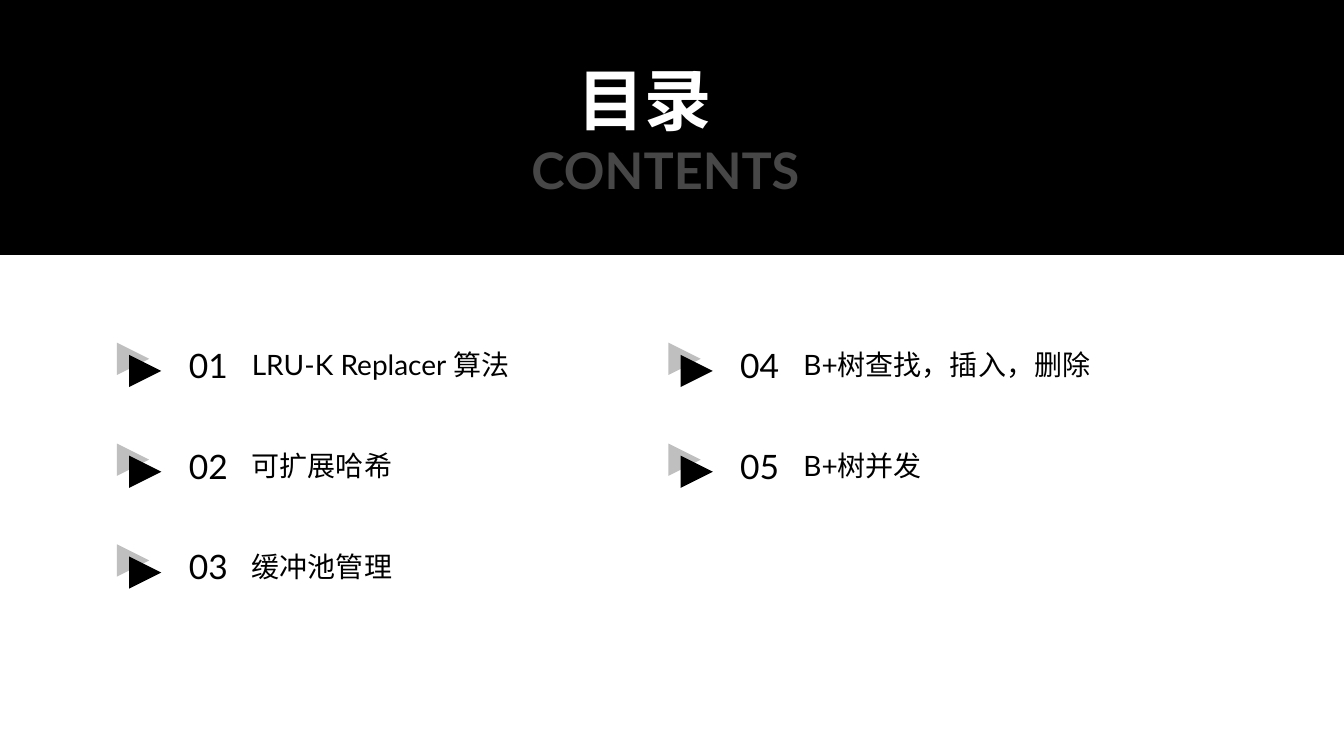
from pptx import Presentation
from pptx.dml.color import RGBColor
from pptx.enum.shapes import MSO_SHAPE
from pptx.enum.text import MSO_ANCHOR, PP_ALIGN
from pptx.oxml.ns import qn
from pptx.util import Inches, Pt

RECTANGLE = MSO_SHAPE.RECTANGLE
TRIANGLE = MSO_SHAPE.ISOSCELES_TRIANGLE
TOP = MSO_ANCHOR.TOP
CENTER = PP_ALIGN.CENTER
JUSTIFY = PP_ALIGN.JUSTIFY

BLACK = RGBColor(0x00, 0x00, 0x00)
WHITE = RGBColor(0xFF, 0xFF, 0xFF)
LIGHT_GRAY = RGBColor(0xBF, 0xBF, 0xBF)
DARK_GRAY = RGBColor(0x47, 0x47, 0x47)
FONT = "Lato"

TITLE_ONLY_LAYOUT = 5
ROWS_PER_COLUMN = 3
FIRST_LEFT, FIRST_TOP = 1.16, 3.4
COLUMN_STEP, ROW_STEP = 5.47, 1.0
MARKER_SIZE, MARKER_OFFSET = 0.32, 0.12
TOPICS = [
    "LRU-K Replacer 算法",
    "可扩展哈希",
    "缓冲池管理",
    "B+树查找，插入，删除",
    "B+树并发",
]


def add_filled_shape(slide, kind, left, top, width, height, color):
    shape = slide.shapes.add_shape(
        kind, Inches(left), Inches(top), Inches(width), Inches(height))
    shape.shadow.inherit = False
    shape.fill.solid()
    shape.fill.fore_color.rgb = color
    shape.line.fill.background()
    return shape


def write_text(shape, text, size, color, alignment, bold=False):
    frame = shape.text_frame
    frame.word_wrap = True
    frame.vertical_anchor = TOP
    paragraph = frame.paragraphs[0]
    paragraph.alignment = alignment
    paragraph.line_spacing = 1.0
    paragraph.space_before = Pt(0)
    run = paragraph.add_run()
    run.text = text
    run.font.size = Pt(size)
    run.font.name = FONT
    run.font.bold = bold
    run.font.color.rgb = color
    east_asian = run.font._element.makeelement(qn("a:ea"), {"typeface": FONT})
    run.font._element.append(east_asian)


def add_label(slide, left, top, width, height, *text_format, bold=False):
    label = slide.shapes.add_textbox(
        Inches(left), Inches(top), Inches(width), Inches(height))
    write_text(label, *text_format, bold=bold)


def add_heading(slide):
    title = slide.shapes.title
    title.left, title.top = Inches(4.47), Inches(0.53)
    title.width, title.height = Inches(3.84), Inches(0.8)
    write_text(title, "目录", 48, WHITE, CENTER, bold=True)
    add_label(slide, 4.68, 1.33, 3.84, 0.7,
              "CONTENTS", 36, DARK_GRAY, CENTER, bold=True)


def add_marker(slide, left, top):
    for offset, color in ((0, LIGHT_GRAY), (MARKER_OFFSET, BLACK)):
        triangle = add_filled_shape(
            slide, TRIANGLE, left + offset, top + offset,
            MARKER_SIZE, MARKER_SIZE, color)
        triangle.rotation = 90


def add_topic(slide, index, topic):
    column, row = divmod(index, ROWS_PER_COLUMN)
    left = FIRST_LEFT + column * COLUMN_STEP
    top = FIRST_TOP + row * ROW_STEP
    add_marker(slide, left, top)
    add_label(slide, left + 0.53, top - 0.03, 0.75, 0.5,
              f"{index + 1:02d}", 24, BLACK, CENTER)
    add_label(slide, left + 1.24, top, 4.27, 0.44,
              topic, 20, BLACK, JUSTIFY)


def main():
    presentation = Presentation()
    presentation.slide_width = Inches(13.33)
    presentation.slide_height = Inches(7.5)
    slide = presentation.slides.add_slide(
        presentation.slide_layouts[TITLE_ONLY_LAYOUT])
    banner = add_filled_shape(slide, RECTANGLE, 0, 0, 13.33, 2.53, BLACK)
    slide.shapes.title._element.addprevious(banner._element)
    add_heading(slide)
    for index, topic in enumerate(TOPICS):
        add_topic(slide, index, topic)
    presentation.save("out.pptx")


if __name__ == "__main__":
    main()
